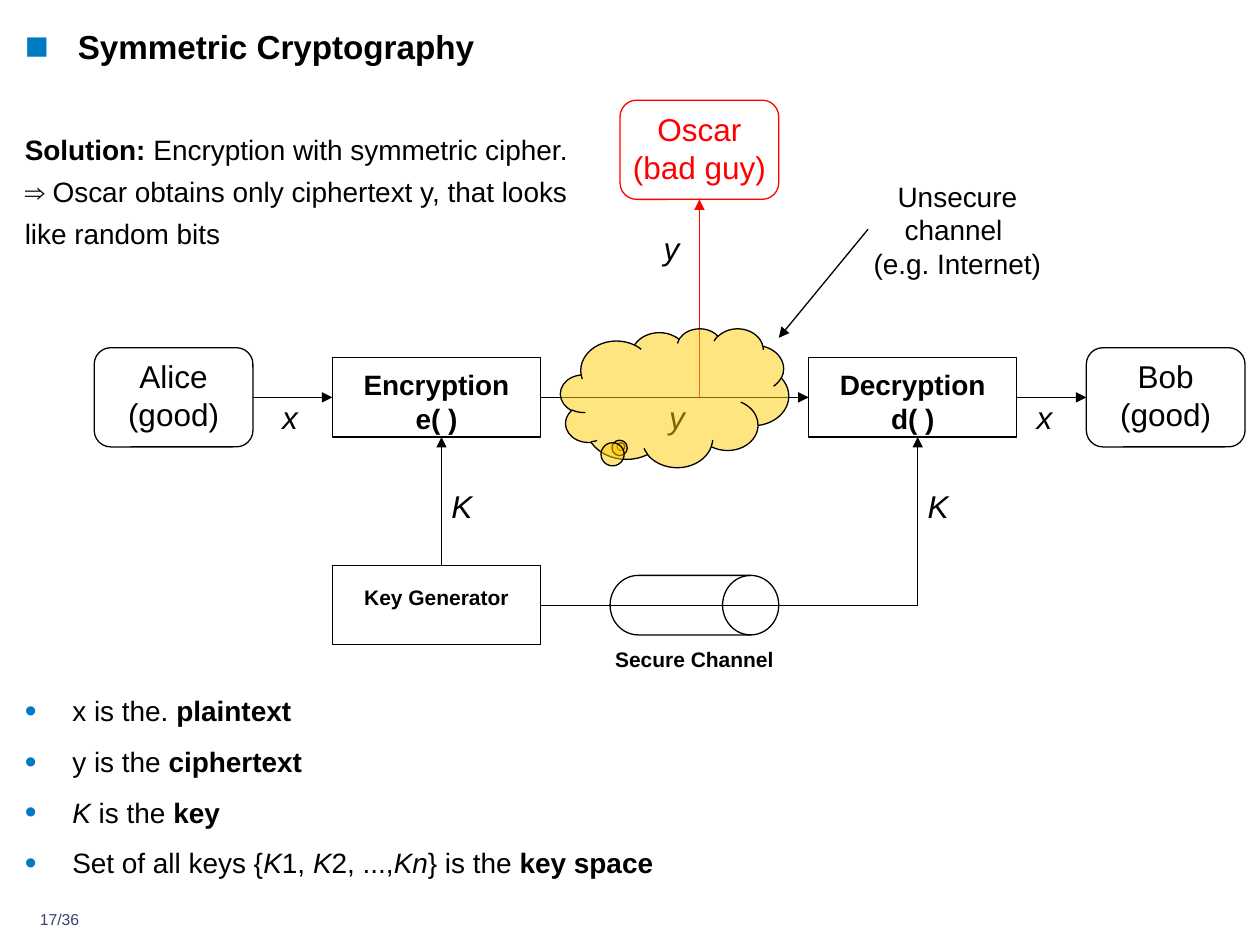
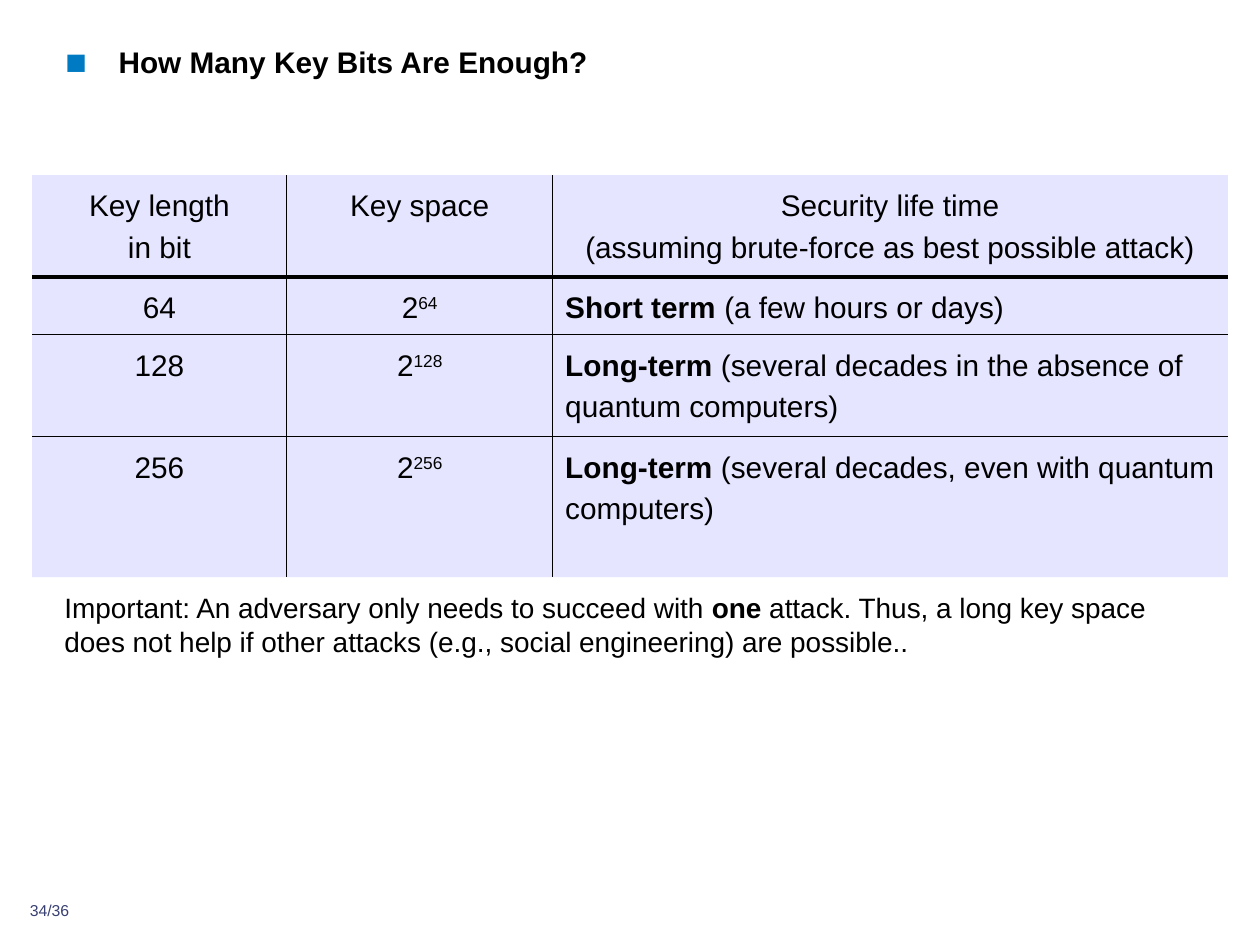
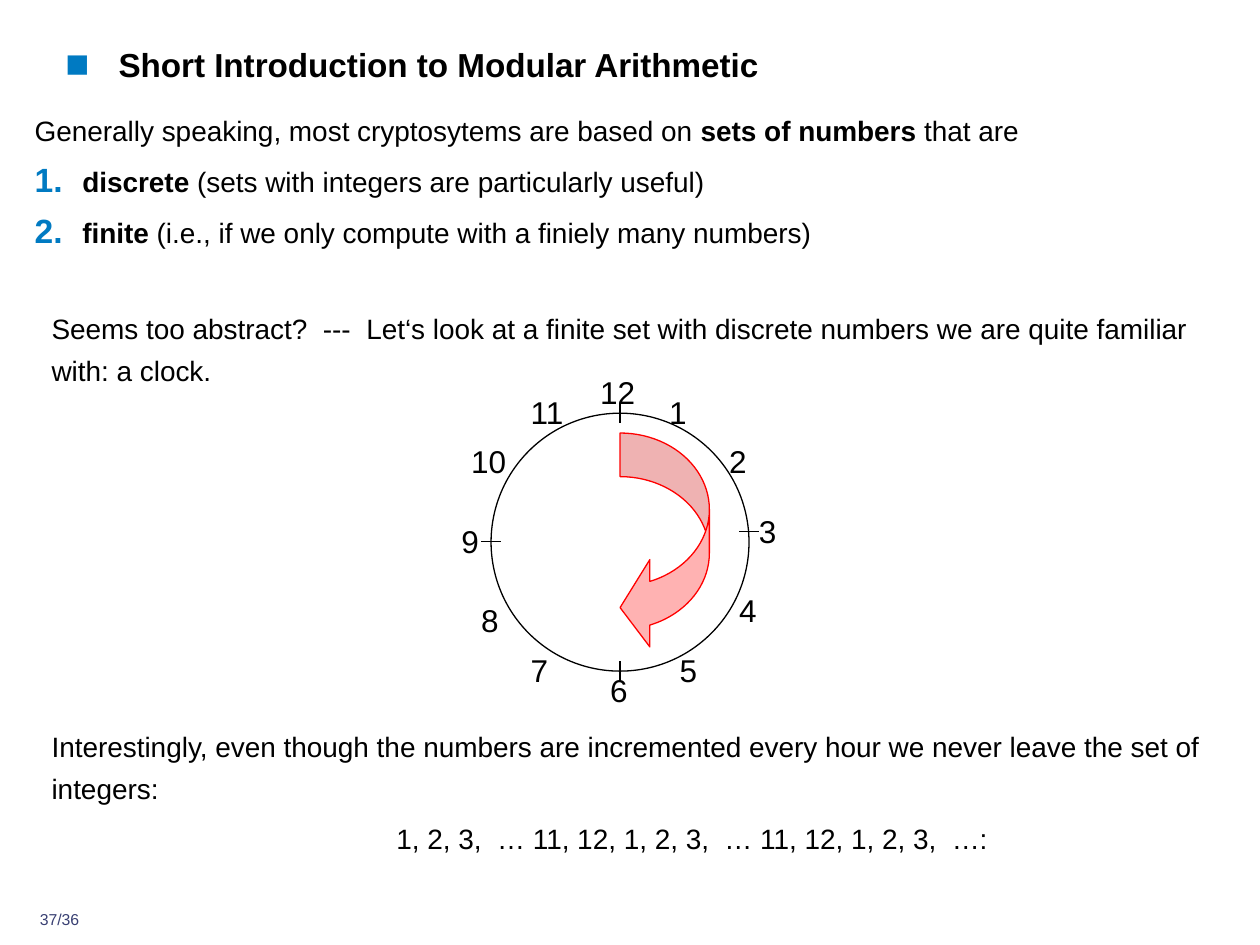
from dataclasses import dataclass
from typing import NamedTuple

from lxml.etree import SubElement
from pptx import Presentation
from pptx.dml.color import RGBColor
from pptx.dml.fill import FillFormat
from pptx.enum.shapes import MSO_CONNECTOR, MSO_SHAPE
from pptx.enum.text import MSO_ANCHOR, PP_ALIGN
from pptx.oxml.ns import qn
from pptx.oxml.xmlchemy import OxmlElement
from pptx.shapes.autoshape import Shape
from pptx.slide import Slide
from pptx.table import _Cell as Cell
from pptx.text.text import TextFrame
from pptx.util import Cm, Pt

BLACK = RGBColor(0x00, 0x00, 0x00)
WHITE = RGBColor(0xFF, 0xFF, 0xFF)
RED = RGBColor(0xFF, 0x00, 0x00)
BLUE = RGBColor(0x00, 0x7A, 0xC2)
NAVY = RGBColor(0x39, 0x40, 0x73)
GOLD = RGBColor(0xFF, 0xCC, 0x00)
LILAC = RGBColor(0xCC, 0xCC, 0xFF)
FONT = "Arial"
NO_GRID = "{2D5ABB26-0587-4C30-8999-92F81FD0307C}"
CENTER = PP_ALIGN.CENTER
BODY = dict(lead=1.25, gap=5)
LIST = dict(BODY, hang=0.96)


class Box(NamedTuple):
    x: float
    y: float
    w: float
    h: float


class Point(NamedTuple):
    x: float
    y: float


class Joint(NamedTuple):
    shape: Shape
    site: int


@dataclass(frozen=True)
class Run:
    text: str
    bold: bool = False
    italic: bool = False
    raised: bool = False


@dataclass(frozen=True)
class Page:
    title: str
    number: str
    head: Box
    foot: Point
    size: int = 19


@dataclass(frozen=True)
class Node:
    label: str
    box: Box
    kind: MSO_SHAPE = MSO_SHAPE.RECTANGLE
    color: RGBColor = BLACK
    size: int = 16
    bold: bool = True
    inset: float = 0.2


PARTY = dict(kind=MSO_SHAPE.ROUNDED_RECTANGLE, size=18, bold=False, inset=0.1)


def bold(text: str) -> Run:
    return Run(text, bold=True)


def ital(text: str) -> Run:
    return Run(text, italic=True)


def write(frame: TextFrame, *parts: str | Run, size: int = 16,
          color: RGBColor = BLACK, strong: bool = False, slant: bool = False,
          align: PP_ALIGN = PP_ALIGN.LEFT, lead: float = 1.0, gap: float = 0,
          left: float = 0, hang: float = 0, bullet: str = "") -> None:
    """Add one paragraph; a bullet of "1." numbers it."""
    fresh = not frame.text
    para = frame.paragraphs[0] if fresh else frame.add_paragraph()
    para.alignment = align
    para.line_spacing = lead
    if not fresh:
        para.space_before = Pt(gap)
    props = para._p.get_or_add_pPr()
    props.set("marL", str(Cm(left + hang)))
    props.set("indent", str(-Cm(hang)))
    if bullet:
        tint = SubElement(props, qn("a:buClr"))
        SubElement(tint, qn("a:srgbClr"), val=str(BLUE))
        SubElement(props, qn("a:buSzPct"), val="120000")
        SubElement(props, qn("a:buFont"), typeface=FONT)
        if bullet == "1.":
            SubElement(props, qn("a:buAutoNum"), type="arabicPeriod")
        else:
            SubElement(props, qn("a:buChar"), char=bullet)
    for part in parts:
        item = Run(part) if isinstance(part, str) else part
        for row, line in enumerate(item.text.split("\n")):
            if row:
                SubElement(para._p.add_br(), qn("a:rPr"), sz=str(size * 100))
            run = para.add_run()
            run.text = line
            font = run.font
            font.name, font.size = FONT, Pt(size)
            font.bold, font.italic = strong or item.bold, slant or item.italic
            font.color.rgb = color
            if item.raised:
                run._r.get_or_add_rPr().set("baseline", "30000")


def place(box: Box) -> tuple[Cm, ...]:
    return tuple(Cm(side) for side in box)


def bare(frame: TextFrame, top: float = 0, wrap: bool = True) -> TextFrame:
    """Clear the insets and start the text at the top."""
    frame.margin_left = frame.margin_right = frame.margin_bottom = 0
    frame.margin_top = Cm(top)
    frame.vertical_anchor = MSO_ANCHOR.TOP
    frame.word_wrap = wrap
    return frame


def area(slide: Slide, box: Box, wrap: bool = True) -> TextFrame:
    return bare(slide.shapes.add_textbox(*place(box)).text_frame, wrap=wrap)


def mark(slide: Slide, text: str, x: float, y: float, slant: bool = False) -> None:
    """Put a short 18 pt label at a point."""
    width = 0.36 * len(text)
    write(area(slide, Box(x, y, width, 0.76), wrap=False), text, size=18, slant=slant)


def paint(fill: FillFormat, color: RGBColor, alpha: int = 100) -> None:
    fill.solid()
    fill.fore_color.rgb = color
    if alpha < 100:
        tint = fill._xPr.find(qn("a:solidFill"))[0]
        SubElement(tint, qn("a:alpha"), val=str(alpha * 1000))


def draw(slide: Slide, kind: MSO_SHAPE, box: Box, line: RGBColor = BLACK,
         fill: RGBColor | None = None, alpha: int = 100,
         bends: tuple[float, ...] = ()) -> Shape:
    shape = slide.shapes.add_shape(kind, *place(box))
    shape.shadow.inherit = False
    shape.line.color.rgb = line
    shape.line.width = Pt(0.75)
    if fill is None:
        shape.fill.background()
    else:
        paint(shape.fill, fill, alpha)
    for spot, bend in enumerate(bends):
        shape.adjustments[spot] = bend
    return shape


def block(slide: Slide, node: Node) -> Shape:
    shape = draw(slide, node.kind, node.box, node.color)
    write(bare(shape.text_frame, node.inset), node.label, size=node.size,
          color=node.color, strong=node.bold, align=CENTER)
    return shape


def link(slide: Slide, start: Point | Joint, end: Point | Joint,
         color: RGBColor = BLACK, arrow: bool = True) -> None:
    ends = [item if isinstance(item, Point) else Point(0, 0) for item in (start, end)]
    line = slide.shapes.add_connector(
        MSO_CONNECTOR.STRAIGHT, *(Cm(side) for point in ends for side in point))
    if isinstance(start, Joint):
        line.begin_connect(*start)
    if isinstance(end, Joint):
        line.end_connect(*end)
    line.line.color.rgb = color
    line.line.width = Pt(0.75)
    props = line._element.spPr
    if arrow:
        SubElement(props.find(qn("a:ln")), qn("a:tailEnd"), type="triangle")
    SubElement(props, qn("a:effectLst"))


def begin(deck: Presentation, page: Page) -> Slide:
    """Add a slide with its title and page number."""
    slide = deck.slides.add_slide(deck.slide_layouts[6])
    write(area(slide, page.head), page.title, size=page.size, strong=True,
          hang=1.07, bullet="■")
    write(area(slide, Box(*page.foot, 1.4, 0.6)), page.number, size=9,
          color=NAVY, align=CENTER)
    return slide


def cipher(deck: Presentation) -> None:
    slide = begin(deck, Page("Symmetric Cryptography", "17/36",
                             Box(0.5, 0.53, 17.96, 1.42), Point(0.5, 18.34)))
    alice = block(slide, Node("Alice\n(good)", Box(1.9, 7.01, 3.2, 2), **PARTY))
    bob = block(slide, Node("Bob\n(good)", Box(21.9, 7.01, 3.2, 2), **PARTY))
    oscar = block(slide, Node("Oscar\n(bad guy)", Box(12.5, 2.02, 3.2, 2),
                              color=RED, **PARTY))
    lock = block(slide, Node("Encryption\ne( )", Box(6.7, 7.21, 4.2, 1.6)))
    maker = block(slide, Node("Key Generator", Box(6.7, 11.4, 4.2, 1.6),
                              size=12, inset=0.38))
    unlock = block(slide, Node("Decryption\nd( )", Box(16.3, 7.21, 4.2, 1.6)))
    draw(slide, MSO_SHAPE.FLOWCHART_DIRECT_ACCESS_STORAGE,
         Box(12.3, 11.6, 3.4, 1.2), fill=WHITE)
    write(area(slide, Box(11.7, 13.03, 4.6, 0.51)), "Secure Channel", size=12,
          strong=True, align=CENTER)

    for left, right in ((alice, lock), (lock, unlock), (unlock, bob)):
        link(slide, Joint(left, 3), Joint(right, 1))
    link(slide, Point(14.1, 8.01), Joint(oscar, 2), RED)
    link(slide, Point(8.9, 11.4), Point(8.9, 8.81))
    turn = Point(18.5, 12.2)
    link(slide, Joint(maker, 3), turn, arrow=False)
    link(slide, turn, Point(18.5, 8.81))

    for text, x, y in (("K", 9.1, 9.82), ("K", 18.7, 9.82), ("x", 5.69, 8.02),
                       ("x", 20.9, 8.02), ("y", 13.49, 8.02), ("y", 13.38, 4.62)):
        mark(slide, text, x, y, slant=True)

    draw(slide, MSO_SHAPE.CLOUD_CALLOUT, Box(11.3, 6.62, 4.6, 2.8),
         fill=GOLD, alpha=50, bends=(-0.235, 0.352))
    link(slide, Point(17.5, 4.62), Point(15.7, 6.81))
    write(area(slide, Box(17.1, 3.61, 4.4, 2.03)),
          "Unsecure channel \n(e.g. Internet)", align=CENTER)

    terms = area(slide, Box(0.5, 13.82, 14, 3.91))
    for parts in (
        ("x is the. ", bold("plaintext")),
        ("y is the ", bold("ciphertext")),
        (ital("K"), " is the ", bold("key")),
        ("Set of all keys {", ital("K"), "1, ", ital("K"), "2, ...,", ital("Kn"),
         "} is the ", bold("key space")),
    ):
        write(terms, *parts, bullet="•", **LIST)
    write(area(slide, Box(0.5, 2.51, 11.3, 2.57)), bold("Solution:"),
          " Encryption with symmetric cipher. \n"
          "⇒ Oscar obtains only ciphertext y, that looks like random bits", **BODY)


def edge(cell: Cell, sides: dict[str, float]) -> None:
    """Draw black cell borders of the given widths in points."""
    props = cell._tc.get_or_add_tcPr()
    for spot, (side, width) in enumerate(sides.items()):
        line = OxmlElement(f"a:ln{side}")
        line.set("w", str(Pt(width)))
        tint = SubElement(SubElement(line, qn("a:solidFill")), qn("a:srgbClr"))
        tint.set("val", str(BLACK))
        props.insert(spot, line)


def lengths(deck: Presentation) -> None:
    slide = begin(deck, Page("How Many Key Bits Are Enough?", "34/36",
                             Box(1.32, 0.89, 22.58, 1.42), Point(0.3, 18.16), 17))
    lives = (
        ("64", "Short term ", "(a few hours or days)"),
        ("128", "Long-term ", "(several decades in the absence of quantum computers)"),
        ("256", "Long-term ", "(several decades, even with quantum computers)"),
    )
    rows = [(("Key length\nin bit",), ("Key space",),
             ("Security life time\n(assuming brute-force as best possible attack)",))]
    rows += [((bits,), ("2", Run(bits, raised=True)), (bold(term), note))
             for bits, term, note in lives]
    widths, heights = (5.13, 5.36, 13.61), (1.94, 1.08, 1.94, 2.84)
    box = Box(0.65, 3.53, sum(widths), sum(heights))
    table = slide.shapes.add_table(len(rows), len(widths), *place(box)).table
    table.first_row = table.horz_banding = False
    table._tbl.tblPr.find(qn("a:tableStyleId")).text = NO_GRID
    for column, width in zip(table.columns, widths):
        column.width = Cm(width)
    for r, (row, height) in enumerate(zip(rows, heights)):
        table.rows[r].height = Cm(height)
        for c, parts in enumerate(row):
            cell = table.cell(r, c)
            prose = r > 0 and c == 2
            write(cell.text_frame, *parts, size=17,
                  align=PP_ALIGN.LEFT if prose else CENTER, **BODY)
            paint(cell.fill, LILAC, 50)
            sides = {"L": 1 if c else 0, "R": 1 if c < 2 else 0,
                     "T": (0, 2.25, 1, 1)[r], "B": (2.25, 1, 1, 0)[r]}
            edge(cell, {side: width for side, width in sides.items() if width})
    write(area(slide, Box(1.3, 11.91, 22.6, 1.35)),
          "Important: An adversary only needs to succeed with ", bold("one"),
          " attack. Thus, a long key space does not help if other attacks "
          "(e.g., social engineering) are possible..")


def clock(deck: Presentation) -> None:
    slide = begin(deck, Page("Short Introduction to Modular Arithmetic", "37/36",
                             Box(1.32, 0.89, 17.96, 1.42), Point(0.5, 18.34)))
    draw(slide, MSO_SHAPE.OVAL, Box(9.9, 8.33, 5.2, 5.2))
    hours = ((13.49, 7.92), (14.7, 8.92), (15.3, 10.32), (14.9, 11.92),
             (13.7, 13.12), (12.3, 13.52), (10.7, 13.12), (9.7, 12.12),
             (9.3, 10.52), (9.5, 8.92), (10.7, 7.92), (12.1, 7.52))
    for hour, (x, y) in enumerate(hours, 1):
        mark(slide, str(hour), x, y)
    for y in (8.13, 13.33):
        link(slide, Point(12.5, y), Point(12.5, y + 0.4), arrow=False)
    for x, y in ((14.9, 10.72), (9.7, 10.92)):
        link(slide, Point(x, y), Point(x + 0.4, y), arrow=False)
    sweep = draw(slide, MSO_SHAPE.CURVED_DOWN_ARROW, Box(11.2, 10.03, 4.4, 1.8),
                 RED, RED, 30, (0.489, 0.978, 0.333))
    sweep.rotation = 90

    facts = area(slide, Box(0.7, 2.13, 23.3, 3.91))
    write(facts, "Generally speaking, most cryptosytems are based on ",
          bold("sets of numbers"), " that are", **LIST)
    for term, note in (
        ("discrete", " (sets with integers are particularly useful)"),
        ("finite", " (i.e., if we only compute with a finiely many numbers)"),
    ):
        write(facts, bold(term), note, bullet="1.", **LIST)
    write(area(slide, Box(1.04, 6.12, 23.3, 2.72)),
          "Seems too abstract?  ---  Let‘s look at a finite set with discrete "
          "numbers we are quite familiar with: a clock.", **BODY)
    close = area(slide, Box(1.04, 14.53, 23.3, 3.76))
    write(close, "Interestingly, even though the numbers are incremented every "
          "hour we never leave the set of integers:", **BODY)
    write(close, "1, 2, 3,  … 11, 12, 1, 2, 3,  … 11, 12, 1, 2, 3,  …:",
          align=CENTER, left=2.54, **BODY)


def main() -> None:
    deck = Presentation()
    deck.slide_width, deck.slide_height = Cm(25.4), Cm(19.05)
    for build in (cipher, lengths, clock):
        build(deck)
    deck.save("out.pptx")


if __name__ == "__main__":
    main()
